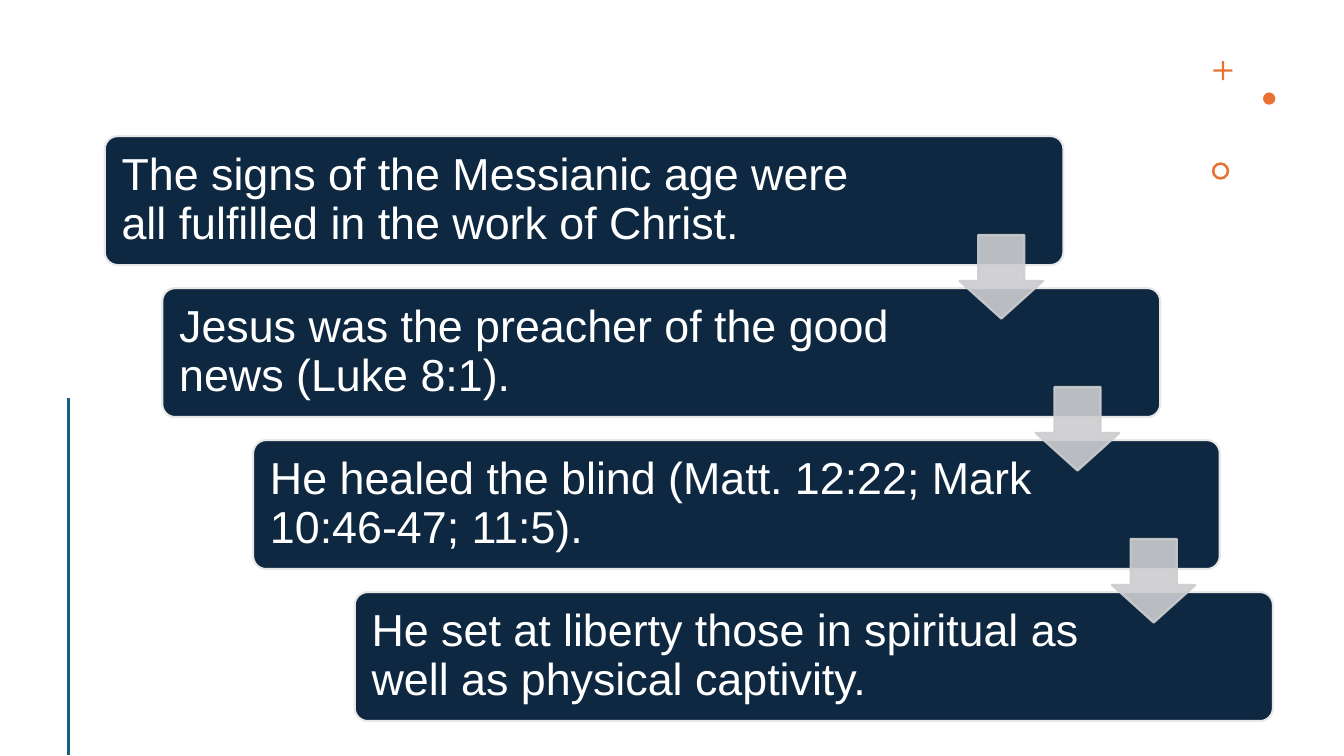
import pptx
import pptx.dml.color
import pptx.enum.shapes
import pptx.enum.text
import pptx.oxml.ns
import pptx.util
from lxml import etree
from pptx.util import Cm

SHAPE = pptx.enum.shapes.MSO_SHAPE
NAVY, ORANGE, TEAL = "0E2841", "E97132", "156082"
PALE, GREY, WHITE = "E8E8E8", "CCCDCF", "FFFFFF"
STEP_TOP, STEP_HEIGHT, STEP_PITCH = 3.43, 3.25, 3.83
ARROW_LEFT, ARROW_TOP, ARROW_SHIFT, ARROW_SIZE = 24.18, 5.92, 1.92, 2.11

STEPS = [
    (2.64, 24.16, "The signs of the Messianic age were all fulfilled in the work of Christ."),
    (4.09, 25.15, "Jesus was the preacher of the good news (Luke 8:1)."),
    (6.38, 24.36, "He healed the blind (Matt. 12:22; Mark 10:46-47; 11:5)."),
    (8.94, 23.14, "He set at liberty those in spiritual as well as physical captivity."),
]
ORNAMENTS = [
    (SHAPE.CROSS, 30.58, 1.54, 0.48, [0.44]),
    (SHAPE.OVAL, 31.83, 2.33, 0.31, []),
    (SHAPE.DONUT, 30.54, 4.09, 0.44, [0.15]),
]


def rgb(color):
    """Turn a hex string into a colour."""
    return pptx.dml.color.RGBColor.from_string(color)


def set_opacity(sp, percent):
    """Set the opacity of every solid colour in a shape's fill and line."""
    for clr in sp._element.spPr.iter(pptx.oxml.ns.qn("a:srgbClr")):
        alpha = etree.SubElement(clr, pptx.oxml.ns.qn("a:alpha"))
        alpha.set("val", str(percent * 1000))


def add_shape(slide, kind, left, top, width, height, fill, line=None, adj=()):
    """Add a flat preset shape, measured in centimetres."""
    sp = slide.shapes.add_shape(kind, Cm(left), Cm(top), Cm(width), Cm(height))
    sp.shadow.inherit = False
    sp.fill.solid()
    sp.fill.fore_color.rgb = rgb(fill)
    if line:
        sp.line.color.rgb = rgb(line)
        sp.line.width = pptx.util.Pt(1.5)
    else:
        sp.line.fill.background()
    for i, value in enumerate(adj):
        sp.adjustments[i] = value
    return sp


def set_text(sp, text, size=32, font="Arial", color=WHITE, spacing=0.9, margin=0.33, right=4.32):
    """Write left-aligned, vertically centred text into a shape."""
    tf = sp.text_frame
    tf.word_wrap = True
    tf.vertical_anchor = pptx.enum.text.MSO_ANCHOR.MIDDLE
    tf.margin_left = tf.margin_top = tf.margin_bottom = Cm(margin)
    tf.margin_right = Cm(right)
    p = tf.paragraphs[0]
    p.alignment = pptx.enum.text.PP_ALIGN.LEFT
    p.line_spacing = spacing
    r = p.add_run()
    r.text = text
    r.font.name = font
    r.font.size = pptx.util.Pt(size)
    r.font.color.rgb = rgb(color)


def add_line(slide, x1, y1, x2, y2, color, width):
    """Add a straight line without a shadow."""
    line = slide.shapes.add_connector(
        pptx.enum.shapes.MSO_CONNECTOR.STRAIGHT, Cm(x1), Cm(y1), Cm(x2), Cm(y2))
    line.line.color.rgb = rgb(color)
    line.line.width = pptx.util.Pt(width)
    etree.SubElement(line._element.spPr, pptx.oxml.ns.qn("a:effectLst"))


def add_step(slide, i, left, width, text):
    """Add one box of the staircase."""
    sp = add_shape(slide, SHAPE.ROUNDED_RECTANGLE, left, STEP_TOP + i * STEP_PITCH,
                   width, STEP_HEIGHT, NAVY, PALE, [0.1])
    set_text(sp, text)


def add_step_arrow(slide, i):
    """Add the arrow that leads from one step to the next."""
    sp = add_shape(slide, SHAPE.DOWN_ARROW, ARROW_LEFT + i * ARROW_SHIFT,
                   ARROW_TOP + i * STEP_PITCH, ARROW_SIZE, ARROW_SIZE, GREY, GREY)
    sp.adjustments[0] = 0.45
    sp.adjustments[1] = 0.55
    sp.adjustments[0], sp.adjustments[1] = 0.55, 0.45
    set_opacity(sp, 90)


def main():
    """Build the slide and save it."""
    prs = pptx.Presentation()
    prs.slide_width, prs.slide_height = Cm(33.87), Cm(19.05)
    slide = prs.slides.add_slide(prs.slide_layouts[6])
    for kind, left, top, size, adj in ORNAMENTS:
        add_shape(slide, kind, left, top, size, size, ORANGE, adj=adj)
    add_line(slide, 1.73, 10.03, 1.73, 19.03, TEAL, 2)
    for i, step in enumerate(STEPS):
        add_step(slide, i, *step)
    for i in range(len(STEPS) - 1):
        add_step_arrow(slide, i)
    prs.save("out.pptx")


if __name__ == "__main__":
    main()
